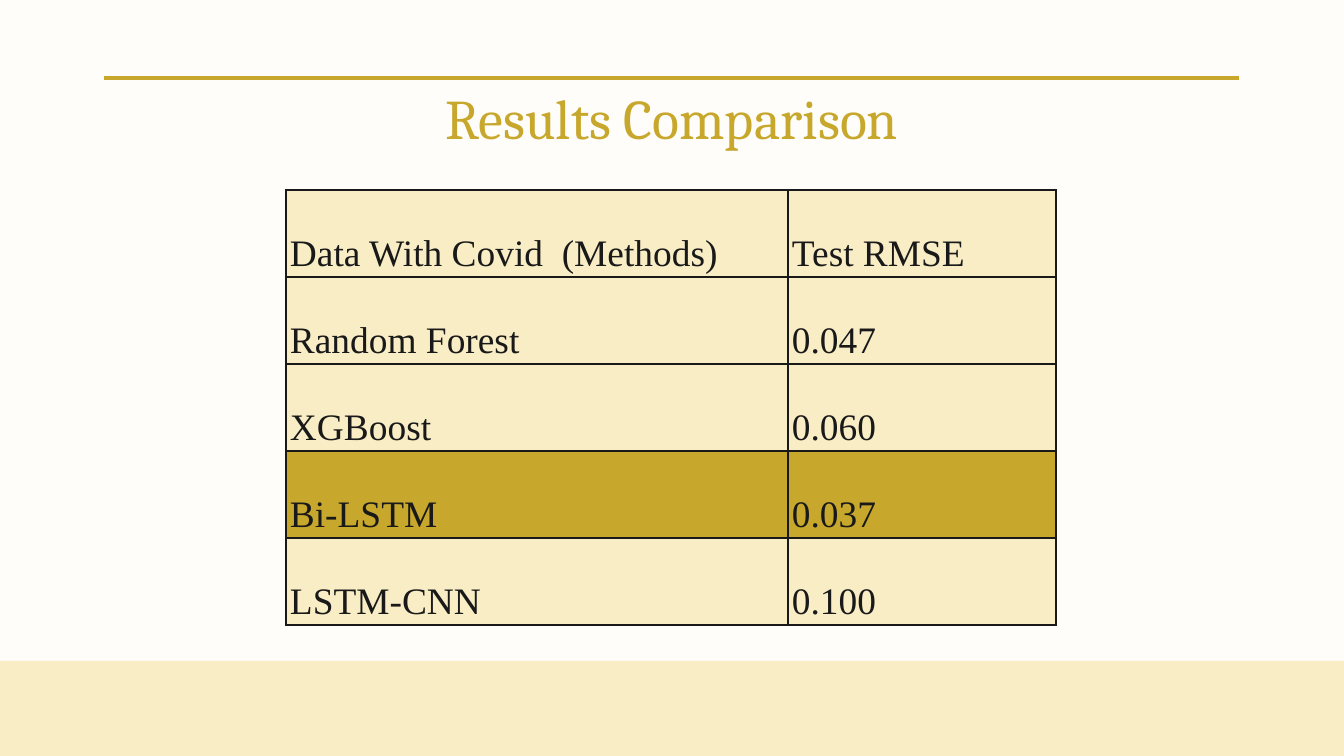
from lxml import etree
from pptx import Presentation
from pptx.dml.color import RGBColor
from pptx.enum.shapes import MSO_CONNECTOR, MSO_SHAPE
from pptx.enum.text import MSO_ANCHOR, PP_ALIGN
from pptx.oxml import parse_xml
from pptx.oxml.ns import nsdecls, qn
from pptx.util import Pt

TITLE = "Results Comparison"
ROWS = [
    ("Data With Covid  (Methods)", "Test RMSE"),
    ("Random Forest", "0.047"),
    ("XGBoost", "0.060"),
    ("Bi-LSTM", "0.037"),
    ("LSTM-CNN", "0.100"),
]
BEST_ROW = 3
COLORS = {"paper": "FFFDFA", "cream": "F8EDC5", "gold": "C7A82C", "ink": "191919"}

SLIDE_W, SLIDE_H = 1344, 756
BAND_TOP = 661
RULE_LEFT, RULE_RIGHT, RULE_Y = 104, 1239, 78
TITLE_BOX = (105, 81, 1134, 70)
TABLE_LEFT, TABLE_TOP, ROW_H = 286, 190, 87
COL_WIDTHS = (502, 268)


def px(n):
    return round(n * 914400 / 134.4)


def rgb(name):
    return RGBColor.from_string(COLORS[name])


def set_margins(box, left, top, right, bottom):
    box.margin_left, box.margin_top = px(left), px(top)
    box.margin_right, box.margin_bottom = px(right), px(bottom)


def add_run(p, text, size, font, color):
    r = p.add_run()
    r.text = text
    r.font.size = Pt(size)
    r.font.name = font
    r.font.color.rgb = rgb(color)


def set_borders(cell, color):
    """Draw a 1 pt line on each side; borders must precede the cell fill."""
    tc_pr = cell._tc.get_or_add_tcPr()
    for i, side in enumerate(("lnL", "lnR", "lnT", "lnB")):
        tc_pr.insert(i, parse_xml(
            f'<a:{side} {nsdecls("a")} w="{Pt(1)}"><a:solidFill>'
            f'<a:srgbClr val="{COLORS[color]}"/></a:solidFill></a:{side}>'))


prs = Presentation()
prs.slide_width, prs.slide_height = px(SLIDE_W), px(SLIDE_H)
s = prs.slides.add_slide(prs.slide_layouts[6])
s.background.fill.solid()
s.background.fill.fore_color.rgb = rgb("paper")

band = s.shapes.add_shape(MSO_SHAPE.RECTANGLE, 0, px(BAND_TOP),
                          px(SLIDE_W), px(SLIDE_H - BAND_TOP))
band.shadow.inherit = False
band.fill.solid()
band.fill.fore_color.rgb = rgb("cream")
band.line.fill.background()

rule = s.shapes.add_connector(MSO_CONNECTOR.STRAIGHT, px(RULE_LEFT), px(RULE_Y),
                              px(RULE_RIGHT), px(RULE_Y))
rule.line.color.rgb = rgb("gold")
rule.line.width = Pt(2.25)
etree.SubElement(rule._element.spPr, qn("a:effectLst"))

title = s.shapes.add_textbox(*map(px, TITLE_BOX))
tf = title.text_frame
tf.word_wrap = True
tf.vertical_anchor = MSO_ANCHOR.BOTTOM
set_margins(tf, 13, 13, 13, 0)
tf.paragraphs[0].alignment = PP_ALIGN.CENTER
add_run(tf.paragraphs[0], TITLE, 30, "Cambria", "gold")

table = s.shapes.add_table(len(ROWS), len(COL_WIDTHS), px(TABLE_LEFT), px(TABLE_TOP),
                           px(sum(COL_WIDTHS)), px(ROW_H * len(ROWS))).table
for col, width in zip(table.columns, COL_WIDTHS):
    col.width = px(width)
for i, values in enumerate(ROWS):
    table.rows[i].height = px(ROW_H)
    for j, text in enumerate(values):
        cell = table.cell(i, j)
        cell.fill.solid()
        cell.fill.fore_color.rgb = rgb("gold" if i == BEST_ROW else "cream")
        set_borders(cell, "ink")
        cell.vertical_anchor = MSO_ANCHOR.BOTTOM
        set_margins(cell, 4, 2, 4, 2)
        p = cell.text_frame.paragraphs[0]
        p.font.bold = False
        add_run(p, text, 20, "Times New Roman", "ink")
        p.runs[0].font.bold = False

prs.save("out.pptx")
